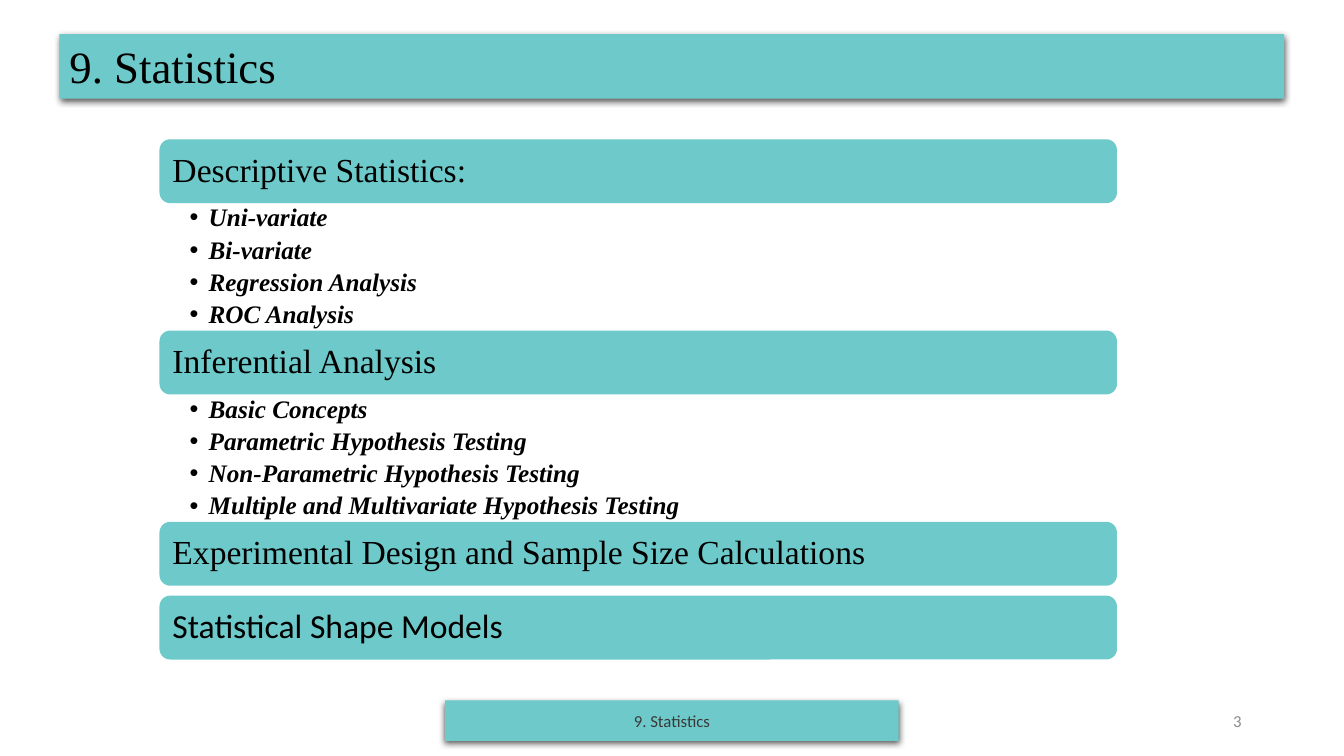
import pptx
import pptx.util
import pptx.dml.color
import pptx.enum.shapes
import pptx.enum.text
import pptx.oxml
import pptx.oxml.ns

Cm = pptx.util.Cm
Pt = pptx.util.Pt
RGBColor = pptx.dml.color.RGBColor
Shapes = pptx.enum.shapes.MSO_SHAPE
Align = pptx.enum.text.PP_ALIGN
Anchor = pptx.enum.text.MSO_ANCHOR

TEAL = RGBColor(0x6E, 0xCA, 0xCA)
BLACK = RGBColor(0x00, 0x00, 0x00)
CHARCOAL = RGBColor(0x3B, 0x38, 0x38)
GRAY = RGBColor(0x8C, 0x8C, 0x8C)
SERIF = "Times New Roman"
SANS = "Calibri"

TOPICS_LEFT, TOPICS_TOP, TOPICS_WIDTH = 4.02, 3.51, 24.13
HEADING_HEIGHT, SUBTOPICS_HEIGHT, TOPIC_GAP = 1.61, 3.21, 0.25
FOOTER_TOP, FOOTER_HEIGHT = 17.65, 1.02

TOPICS = [
    ("Descriptive Statistics:", SERIF,
     ["Uni-variate", "Bi-variate", "Regression Analysis", "ROC Analysis"]),
    ("Inferential Analysis", SERIF,
     ["Basic Concepts", "Parametric Hypothesis Testing",
      "Non-Parametric Hypothesis Testing",
      "Multiple and Multivariate Hypothesis Testing"]),
    ("Experimental Design and Sample Size Calculations", SERIF, []),
    ("Statistical Shape Models", SANS, []),
]


def style_text(paragraph, font_name, size, color, align=Align.LEFT):
    paragraph.alignment = align
    for run in paragraph.runs:
        run.font.name = font_name
        run.font.size = Pt(size)
        run.font.color.rgb = color


def add_bar(slide, preset, left, top, width, height, text):
    bar = slide.shapes.add_shape(preset, Cm(left), Cm(top), Cm(width), Cm(height))
    bar.shadow.inherit = False
    bar.fill.solid()
    bar.fill.fore_color.rgb = TEAL
    bar.line.fill.background()
    bar.text_frame.text = text
    bar.text_frame.vertical_anchor = Anchor.MIDDLE
    return bar


def add_drop_shadow(bar):
    effects = bar._element.spPr.find(pptx.oxml.ns.qn("a:effectLst"))
    effects.append(pptx.oxml.parse_xml(
        f'<a:outerShdw {pptx.oxml.ns.nsdecls("a")} blurRad="{Pt(4.5)}" dist="{Pt(1.5)}" '
        'dir="5400000" algn="ctr" rotWithShape="0">'
        '<a:srgbClr val="000000"><a:alpha val="63000"/></a:srgbClr></a:outerShdw>'))


def add_heading(slide, top, text, font_name):
    heading = add_bar(slide, Shapes.ROUNDED_RECTANGLE, TOPICS_LEFT, top,
                      TOPICS_WIDTH, HEADING_HEIGHT, text)
    paragraph = heading.text_frame.paragraphs[0]
    paragraph.line_spacing = 0.9
    style_text(paragraph, font_name, 24, BLACK)


def add_bullet(paragraph):
    properties = paragraph._p.get_or_add_pPr()
    properties.set("marL", str(Cm(0.48)))
    properties.set("indent", str(-Cm(0.48)))
    for bullet in ('buFont {} typeface="Arial"', 'buChar {} char="•"'):
        properties.append(pptx.oxml.parse_xml(
            f'<a:{bullet.format(pptx.oxml.ns.nsdecls("a"))}/>'))


def add_subtopics(slide, top, subtopics):
    box = slide.shapes.add_textbox(Cm(TOPICS_LEFT), Cm(top),
                                   Cm(TOPICS_WIDTH), Cm(SUBTOPICS_HEIGHT))
    frame = box.text_frame
    frame.word_wrap = True
    frame.margin_left, frame.margin_right = Cm(0.76), Cm(0.36)
    frame.margin_top = frame.margin_bottom = Cm(0.05)
    frame.text = "\n".join(subtopics)
    for paragraph in frame.paragraphs:
        add_bullet(paragraph)
        paragraph.line_spacing = 0.9
        paragraph.space_after = Pt(3.6)
        style_text(paragraph, SERIF, 18, BLACK)
        for run in paragraph.runs:
            run.font.bold = True
            run.font.italic = True


def add_topics(slide):
    top = TOPICS_TOP
    for heading, font_name, subtopics in TOPICS:
        add_heading(slide, top, heading, font_name)
        top += HEADING_HEIGHT
        if subtopics:
            add_subtopics(slide, top, subtopics)
            top += SUBTOPICS_HEIGHT
        else:
            top += TOPIC_GAP


def add_title(slide):
    title = add_bar(slide, Shapes.RECTANGLE, 1.5, 0.86, 30.86, 1.63, "9. Statistics")
    add_drop_shadow(title)
    title.text_frame.vertical_anchor = Anchor.TOP
    style_text(title.text_frame.paragraphs[0], SERIF, 32, BLACK)


def add_footer(slide):
    footer = add_bar(slide, Shapes.RECTANGLE, 11.22, FOOTER_TOP, 11.43,
                     FOOTER_HEIGHT, "9. Statistics")
    add_drop_shadow(footer)
    style_text(footer.text_frame.paragraphs[0], SANS, 12, CHARCOAL, Align.CENTER)


def add_page_number(slide):
    number = slide.shapes.add_textbox(Cm(23.92), Cm(FOOTER_TOP), Cm(7.62),
                                      Cm(FOOTER_HEIGHT))
    number.text_frame.word_wrap = True
    number.text_frame.vertical_anchor = Anchor.MIDDLE
    number.text_frame.text = "3"
    style_text(number.text_frame.paragraphs[0], SANS, 12, GRAY, Align.RIGHT)


def main():
    presentation = pptx.Presentation()
    presentation.slide_width = Cm(33.87)
    presentation.slide_height = Cm(19.05)
    slide = presentation.slides.add_slide(presentation.slide_layouts[6])
    add_title(slide)
    add_page_number(slide)
    add_footer(slide)
    add_topics(slide)
    presentation.save("out.pptx")


if __name__ == "__main__":
    main()
